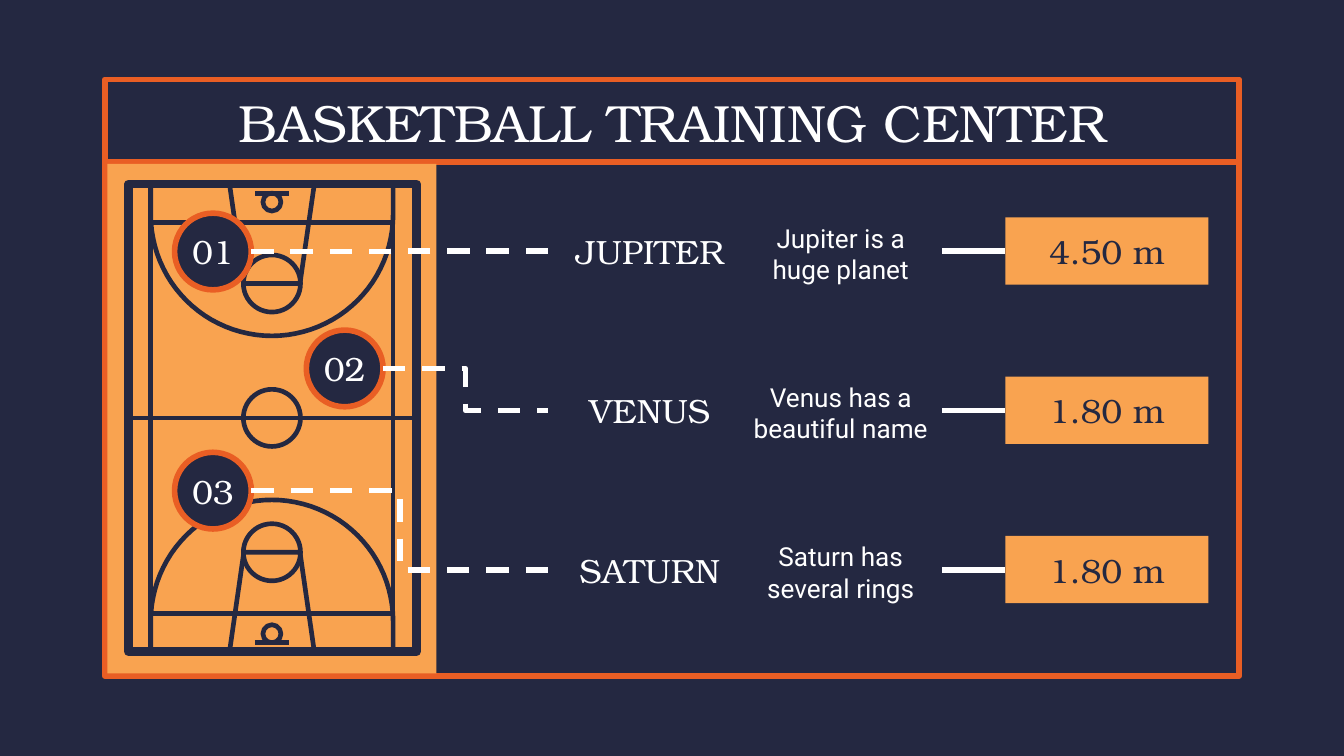
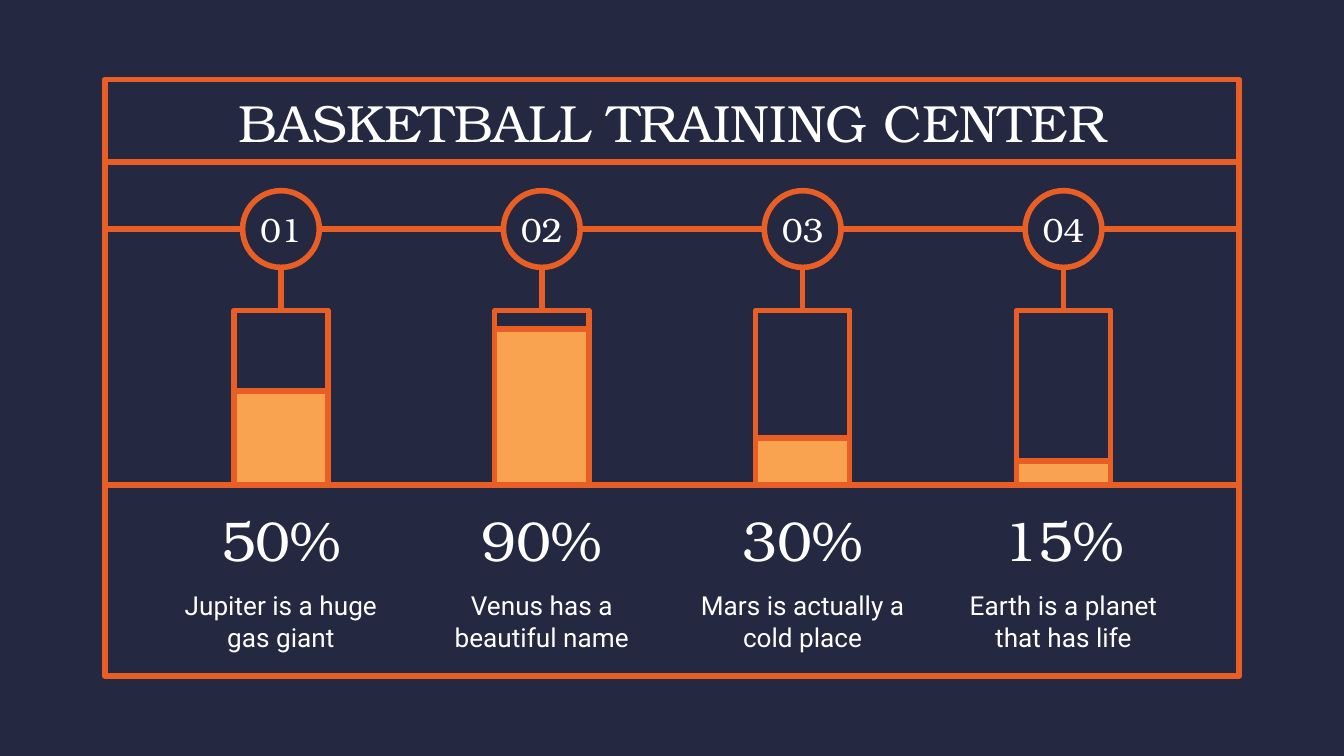
from dataclasses import dataclass
from math import cos, pi, sin
from typing import Any, Optional

from lxml.etree import SubElement
from pptx import Presentation
from pptx.dml.color import RGBColor
from pptx.enum.dml import MSO_LINE
from pptx.enum.shapes import MSO_CONNECTOR, MSO_SHAPE
from pptx.enum.text import MSO_ANCHOR, PP_ALIGN
from pptx.oxml.ns import qn
from pptx.util import Cm, Pt


@dataclass(frozen=True)
class Theme:
    navy: RGBColor = RGBColor(0x24, 0x28, 0x41)
    orange: RGBColor = RGBColor(0xE9, 0x5E, 0x24)
    amber: RGBColor = RGBColor(0xF9, 0xA3, 0x50)
    white: RGBColor = RGBColor(0xFF, 0xFF, 0xFF)
    heading_font: str = "TeX Gyre Bonum"
    body_font: str = "Roboto"
    title_size: float = 28
    figure_size: float = 30
    label_size: float = 18
    body_size: float = 14
    rule_width: float = 3
    court_width: float = 2.5
    boundary_width: float = 4.7


THEME = Theme()


@dataclass(frozen=True)
class Box:
    """Lengths in centimetres."""
    left: float
    top: float
    width: float
    height: float

    def emu(self) -> tuple:
        return Cm(self.left), Cm(self.top), Cm(self.width), Cm(self.height)


@dataclass(frozen=True)
class Stroke:
    color: RGBColor = THEME.orange
    width: float = THEME.rule_width
    dash: Optional[Any] = None


@dataclass(frozen=True)
class TextStyle:
    size: float = THEME.label_size
    font: str = THEME.heading_font
    color: RGBColor = THEME.white
    anchor: Any = MSO_ANCHOR.MIDDLE
    space_after: float = 0
    side_inset: float = 0.25


TITLE = TextStyle(size=THEME.title_size)
BADGE = TextStyle(side_inset=0)
LABEL = TextStyle(space_after=12)
FIGURE = TextStyle(size=THEME.figure_size, space_after=12)
BODY = TextStyle(size=THEME.body_size, font=THEME.body_font, anchor=MSO_ANCHOR.TOP)
VALUE = TextStyle(color=THEME.navy, anchor=MSO_ANCHOR.BOTTOM, space_after=12)

RULE = Stroke()
LEADER = Stroke(color=THEME.white)
DASHED = Stroke(color=THEME.white, dash=MSO_LINE.DASH)
MARKING = Stroke(color=THEME.navy, width=THEME.court_width)
BOUNDARY = Stroke(color=THEME.navy, width=THEME.boundary_width)

FRAME = Box(1.98, 1.5, 21.44, 11.28)
FRAME_RIGHT = FRAME.left + FRAME.width
HEADER_HEIGHT = 1.6
BADGE_SIZE = 1.45


@dataclass(frozen=True)
class Zone:
    number: str
    badge_left: float
    badge_top: float
    name: str
    description: str
    distance: str
    starts_at_label: bool = False


@dataclass(frozen=True)
class Level:
    number: str
    percent: str
    fill_height: float
    description: str


ZONES = (
    Zone("01", 3.3, 4.03, "JUPITER", "Jupiter is a huge planet", "4.50 m", True),
    Zone("02", 5.79, 6.24, "VENUS", "Venus has a beautiful name", "1.80 m"),
    Zone("03", 3.3, 8.55, "SATURN", "Saturn has several rings", "1.80 m"),
)
LEVELS = (
    Level("01", "50%", 1.78, "Jupiter is a huge gas giant"),
    Level("02", "90%", 2.95, "Venus has a beautiful name"),
    Level("03", "30%", 0.89, "Mars is actually a cold place"),
    Level("04", "15%", 0.46, "Earth is a planet that has life"),
)


# Drawing helpers
def apply_format(target: Any, values: dict) -> None:
    for name, value in values.items():
        setattr(target, name, value)


def apply_stroke(line: Any, stroke: Stroke) -> None:
    line.color.rgb = stroke.color
    line.width = Pt(stroke.width)
    if stroke.dash is not None:
        line.dash_style = stroke.dash


def finish_shape(shape: Any, fill: Optional[RGBColor], stroke: Optional[Stroke]) -> None:
    shape.shadow.inherit = False
    if fill is None:
        shape.fill.background()
    else:
        shape.fill.solid()
        shape.fill.fore_color.rgb = fill
    if stroke is None:
        shape.line.fill.background()
    else:
        apply_stroke(shape.line, stroke)
        SubElement(shape._element.spPr.find(qn("a:ln")), qn("a:round"))


def write_text(shape: Any, text: str, style: TextStyle) -> None:
    frame = shape.text_frame
    apply_format(frame, {
        "word_wrap": True, "vertical_anchor": style.anchor,
        "margin_left": Cm(style.side_inset), "margin_right": Cm(style.side_inset),
        "margin_top": Cm(0.25), "margin_bottom": Cm(0.25),
    })
    paragraph = frame.paragraphs[0]
    apply_format(paragraph, {"alignment": PP_ALIGN.CENTER, "space_after": Pt(style.space_after)})
    run = paragraph.add_run()
    run.text = text
    apply_format(run.font, {"name": style.font, "size": Pt(style.size)})
    run.font.color.rgb = style.color


def add_text(slide: Any, box: Box, text: str, style: TextStyle) -> None:
    write_text(slide.shapes.add_textbox(*box.emu()), text, style)


def add_panel(slide: Any, box: Box, fill: Optional[RGBColor] = None,
              stroke: Optional[Stroke] = None, kind: Any = MSO_SHAPE.RECTANGLE) -> Any:
    shape = slide.shapes.add_shape(kind, *box.emu())
    finish_shape(shape, fill, stroke)
    return shape


def add_ring(slide: Any, x: float, y: float, radius: float) -> None:
    box = Box(x - radius, y - radius, 2 * radius, 2 * radius)
    add_panel(slide, box, stroke=MARKING, kind=MSO_SHAPE.OVAL)


def add_badge(slide: Any, left: float, top: float, number: str) -> None:
    box = Box(left, top, BADGE_SIZE, BADGE_SIZE)
    write_text(add_panel(slide, box, THEME.navy, RULE, MSO_SHAPE.OVAL), number, BADGE)


def add_line(slide: Any, start: tuple, end: tuple, stroke: Stroke = RULE,
             kind: Any = MSO_CONNECTOR.STRAIGHT) -> None:
    connector = slide.shapes.add_connector(kind, *(Cm(value) for value in (*start, *end)))
    apply_stroke(connector.line, stroke)
    SubElement(connector._element.spPr, qn("a:effectLst"))


def add_outline(slide: Any, points: list) -> None:
    corners = [(Cm(x), Cm(y)) for x, y in points]
    builder = slide.shapes.build_freeform(*corners[0])
    builder.add_line_segments(corners[1:], close=False)
    finish_shape(builder.convert_to_shape(), None, MARKING)


# Shared frame and title
def add_base_slide(presentation: Any) -> Any:
    slide = presentation.slides.add_slide(presentation.slide_layouts[6])
    slide.background.fill.solid()
    slide.background.fill.fore_color.rgb = THEME.navy
    add_panel(slide, FRAME, stroke=RULE)
    header_y = 3.06
    add_line(slide, (FRAME.left, header_y), (FRAME_RIGHT, header_y))
    add_text(slide, Box(FRAME.left, FRAME.top, FRAME.width, HEADER_HEIGHT),
             "BASKETBALL TRAINING CENTER", TITLE)
    return slide


# Basketball court; the lower half mirrors the upper one
def draw_court(slide: Any) -> None:
    center_x, center_y, baseline = 5.14, 7.9, 3.49
    arc_radius, arc_y, key_y, ring_radius = 2.29, 4.06, 5.36, 0.54
    left, right = center_x - arc_radius, center_x + arc_radius
    length = 2 * (center_y - baseline)

    add_panel(slide, Box(2.03, 3.1, 6.22, 9.63), THEME.amber)
    add_panel(slide, Box(left, baseline, 2 * arc_radius, length), stroke=MARKING)
    add_line(slide, (2.43, center_y), (7.87, center_y), MARKING)
    add_ring(slide, center_x, center_y, ring_radius)

    arc = [(center_x - arc_radius * cos(step * pi / 48), arc_y + arc_radius * sin(step * pi / 48))
           for step in range(49)]
    three_point = [(left, baseline), *arc, (right, baseline)]
    key = [(center_x - 0.8, baseline), (center_x - 0.53, key_y),
           (center_x + 0.53, key_y), (center_x + 0.8, baseline)]

    for mirrored in (False, True):
        def place(y: float) -> float:
            return 2 * center_y - y if mirrored else y

        for outline in (three_point, key):
            add_outline(slide, [(x, place(y)) for x, y in outline])
        for y, half_width in ((4.2, arc_radius), (3.66, 0.32)):
            add_line(slide, (center_x - half_width, place(y)),
                     (center_x + half_width, place(y)), MARKING)
        add_ring(slide, center_x, place(key_y), ring_radius)
        add_ring(slide, center_x, place(3.82), 0.17)
    add_panel(slide, Box(2.43, 3.48, 5.44, 8.84), stroke=BOUNDARY)


# Slide 1: zones on the court
def build_zone_slide(presentation: Any) -> None:
    slide = add_base_slide(presentation)
    draw_court(slide)
    first_row, pitch, width = 4.75, 3.01, 3.84
    label_left, body_left, value_left = 10.36, 13.97, 19.0
    for index, zone in enumerate(ZONES):
        y = first_row + index * pitch
        add_badge(slide, zone.badge_left, zone.badge_top, zone.number)
        ends = [(zone.badge_left + BADGE_SIZE, zone.badge_top + BADGE_SIZE / 2), (label_left, y)]
        if zone.starts_at_label:
            ends.reverse()
        add_line(slide, *ends, DASHED, MSO_CONNECTOR.ELBOW)
        add_text(slide, Box(label_left, y - 0.8, width, 1.6), zone.name, LABEL)
        add_text(slide, Box(body_left, y - 0.8, width, 1.6), zone.description, BODY)
        add_line(slide, (value_left, y), (body_left + width, y), LEADER)
        value = add_panel(slide, Box(value_left, y - 0.64, width, 1.27), THEME.amber)
        write_text(value, zone.distance, VALUE)


# Slide 2: filled columns
def build_level_slide(presentation: Any) -> None:
    slide = add_base_slide(presentation)
    first_center, pitch, axis_y = 5.31, 4.93, 4.33
    bar_top, bar_bottom, bar_width, text_width = 5.87, 9.17, 1.78, 4.52
    radius = BADGE_SIZE / 2
    stops = [FRAME.left]
    for index, level in enumerate(LEVELS):
        x = first_center + index * pitch
        stops += [x - radius, x + radius]
        add_line(slide, (x, axis_y + radius), (x, bar_top))
        add_badge(slide, x - radius, axis_y - radius, level.number)
        for height, fill in ((bar_bottom - bar_top, None), (level.fill_height, THEME.amber)):
            add_panel(slide, Box(x - bar_width / 2, bar_bottom - height, bar_width, height),
                      fill, RULE)
        text_left = x - text_width / 2
        add_text(slide, Box(text_left, 9.55, text_width, 1.27), level.percent, FIGURE)
        add_text(slide, Box(text_left, 10.9, text_width, 1.6), level.description, BODY)
    stops.append(FRAME_RIGHT)
    for start, end in zip(stops[::2], stops[1::2]):
        add_line(slide, (start, axis_y), (end, axis_y))
    add_line(slide, (FRAME.left, bar_bottom), (FRAME_RIGHT, bar_bottom))


presentation = Presentation()
apply_format(presentation, {"slide_width": Cm(25.4), "slide_height": Cm(14.29)})
build_zone_slide(presentation)
build_level_slide(presentation)
presentation.save("out.pptx")
